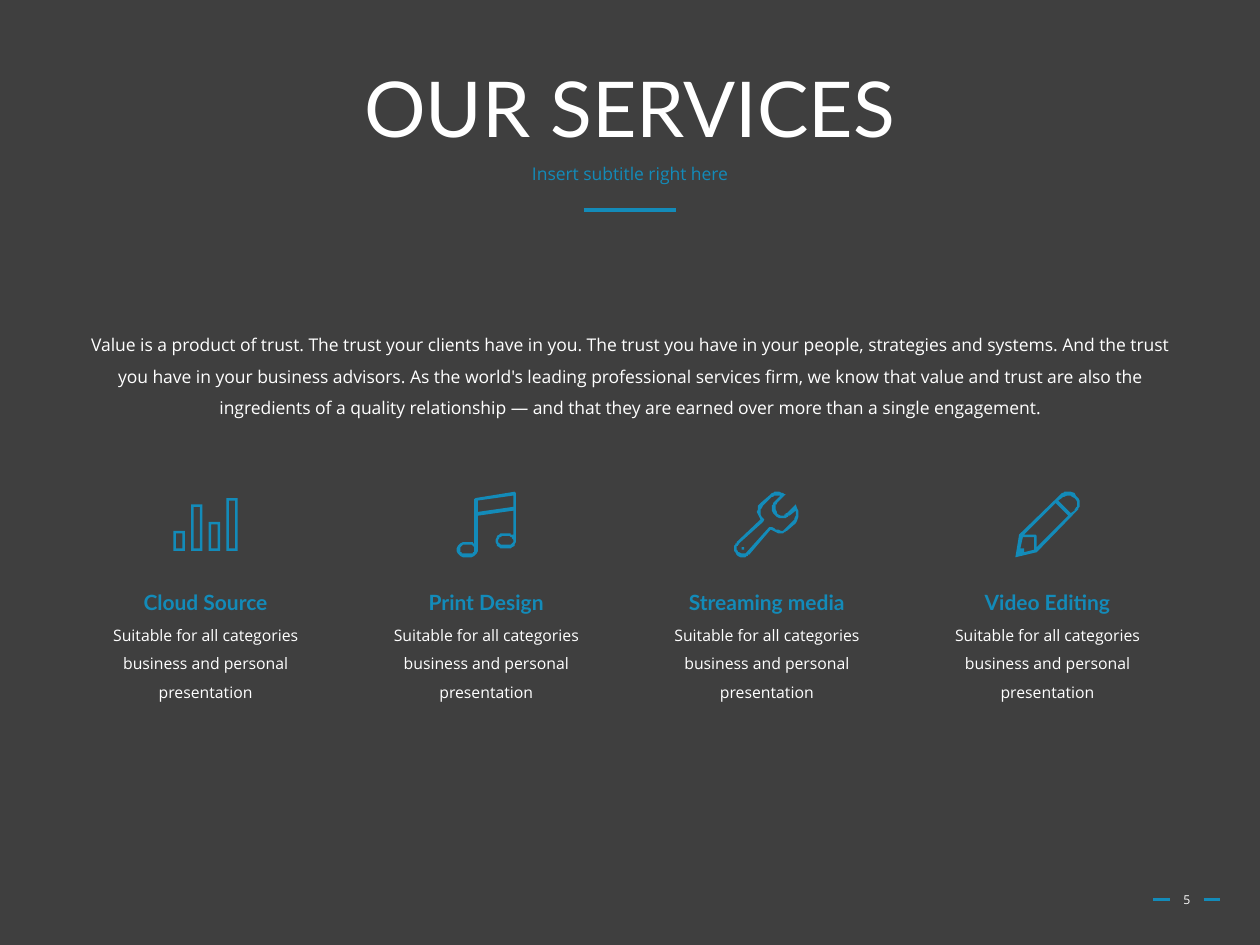
from pptx import Presentation
from pptx.dml.color import RGBColor
from pptx.enum.text import MSO_ANCHOR, MSO_AUTO_SIZE, PP_ALIGN
from pptx.oxml.ns import qn
from pptx.util import Pt
from lxml.etree import SubElement

COLORS = {"back": "3F3F3F", "blue": "138BB9", "white": "FFFFFF"}
HEAD, BODY = "Lato", "Open Sans"
UNIT = 0.72

INTRO = (
    "Value is a product of trust. The trust your clients have in you. "
    "The trust you have in your people, strategies and systems. "
    "And the trust you have in your business advisors. "
    "As the world's leading professional services firm, we know that value "
    "and trust are also the ingredients of a quality relationship — and that "
    "they are earned over more than a single engagement."
)
DETAIL = "Suitable for all categories business and personal presentation"


def box(left, top, right, low):
    return [(left, top), (right, top), (right, low), (left, low)]


def bars():
    paths = []
    for i, top in enumerate((31, 10, 24, 5)):
        left = 14 * i
        paths.append(box(left, top, left + 9, 47))
        paths.append(box(left + 2, top + 2, left + 7, 45))
    return paths


NOTE = [
    [(46, 0), (15, 5), (14, 6), (14, 41), (14, 41, 12, 40, 11, 40), (6, 40),
     (3, 40, 0, 43, 0, 46), (0, 49, 3, 52, 6, 52), (11, 52),
     (14, 52, 17, 49, 17, 46), (17, 19), (45, 15), (45, 34),
     (44, 34, 43, 33, 41, 33), (37, 33), (33, 33, 31, 36, 31, 39),
     (31, 42, 33, 45, 37, 45), (41, 45), (45, 45, 47, 42, 47, 39), (47, 1)],
    [(11, 49), (6, 49), (4, 49, 3, 48, 3, 46), (3, 44, 4, 42, 6, 42),
     (11, 42), (13, 42, 14, 44, 14, 46), (14, 48, 13, 49, 11, 49)],
    [(41, 42), (37, 42), (35, 42, 33, 41, 33, 39), (33, 37, 35, 35, 37, 35),
     (41, 35), (43, 35, 45, 37, 45, 39), (45, 41, 43, 42, 41, 42)],
    [(45, 12), (17, 16), (17, 7), (45, 3)],
]
WRENCH = [
    [(49, 10), (42, 17), (41, 18, 40, 19, 38, 19), (35, 19, 33, 16, 33, 13),
     (33, 11, 33, 10, 34, 9), (40, 3), (41, 2), (39, 1, 36, 0, 34, 0),
     (32, 0, 29, 1, 28, 3), (21, 9), (17, 14, 18, 18, 21, 22), (2, 40),
     (1, 41, 0, 43, 0, 45), (0, 48, 3, 52, 7, 52), (9, 52, 11, 51, 12, 50),
     (29, 30), (33, 33, 37, 33, 38, 33), (39, 33, 41, 32, 42, 31), (49, 25),
     (52, 21, 52, 15, 49, 10)],
    [(33, 7), (31, 9, 30, 11, 30, 13), (30, 17, 34, 21, 38, 21),
     (41, 21, 43, 20, 44, 19), (49, 15), (49, 18, 49, 21, 47, 23), (41, 29),
     (40, 30, 39, 31, 38, 31), (38, 31, 33, 30, 30, 28), (28, 28), (10, 48),
     (9, 49, 8, 49, 7, 49), (4, 49, 2, 47, 2, 45), (2, 43, 3, 42, 4, 41),
     (23, 24), (24, 22), (20, 17, 20, 14, 23, 11), (29, 5),
     (31, 3, 33, 3, 34, 3), (35, 3, 36, 3, 37, 3)],
    [(6, 45), (6, 43.5, 8, 43.5, 8, 45), (8, 46.5, 6, 46.5, 6, 45)],
]
PEN = [
    [(42, 0), (39, 0, 37, 1, 35, 3), (3, 34), (0, 52), (17, 48), (48, 16),
     (50, 15, 51, 12, 51, 10), (51, 4, 47, 0, 42, 0)],
    [(15, 46), (7, 48), (7, 45), (4, 45), (6, 36), (15, 36)],
    [(17, 44), (17, 35), (16, 34), (7, 34), (32, 9), (42, 19)],
    [(47, 15), (44, 17), (34, 7), (37, 5), (37, 5, 39, 3, 42, 3),
     (45, 3, 49, 6, 49, 10), (49, 12, 48, 13, 47, 15)],
]
ITEMS = [
    ("Cloud Source", bars(), 51),
    ("Print Design", NOTE, 47),
    ("Streaming media", WRENCH, 52),
    ("Video Editing", PEN, 51),
]


def trace(course, steps=6):
    points = [course[0]]
    for part in course[1:]:
        if len(part) == 2:
            points.append(part)
            continue
        start = points[-1]
        knots = [start, part[:2], part[2:4], part[4:]]
        for step in range(1, steps + 1):
            t = step / steps
            mix = ((1 - t) ** 3, 3 * t * (1 - t) ** 2, 3 * t * t * (1 - t), t ** 3)
            points.append(tuple(sum(m * k[axis] for m, k in zip(mix, knots))
                                for axis in (0, 1)))
    return points


class Page:
    def __init__(self, slide):
        self.slide = slide
        self.shapes = slide.shapes
        fill = slide.background.fill
        fill.solid()
        fill.fore_color.rgb = self.color("back")

    def color(self, name):
        return RGBColor.from_string(COLORS[name])

    def style(self, shape, text, size, font=BODY, color="white", bold=False,
              space=1.0, anchor=MSO_ANCHOR.TOP):
        frame = shape.text_frame
        frame.text = text
        frame.word_wrap = True
        frame.auto_size = MSO_AUTO_SIZE.NONE
        frame.vertical_anchor = anchor
        para = frame.paragraphs[0]
        para.alignment = PP_ALIGN.CENTER
        para.line_spacing = space
        para.space_before = Pt(0)
        props = para._p.get_or_add_pPr()
        if shape.is_placeholder:
            props.set("marL", "0")
            props.set("indent", "0")
            SubElement(props, qn("a:buNone"))
        para.font.name = font
        para.font.size = Pt(size)
        para.font.bold = bold
        para.font.color.rgb = self.color(color)

    def holder(self, index, area, text, size, **look):
        shape = self.shapes.placeholders[index]
        shape.left, shape.top, shape.width, shape.height = map(Pt, area)
        self.style(shape, text, size, space=0.9, **look)

    def text(self, area, text, size, **look):
        self.style(self.shapes.add_textbox(*map(Pt, area)), text, size, **look)

    def rule(self, left, right, top):
        line = self.shapes.add_connector(1, Pt(left), Pt(top), Pt(right), Pt(top))
        line.line.color.rgb = self.color("blue")
        line.line.width = Pt(1.75)
        SubElement(line._element.spPr, qn("a:effectLst"))

    def icon(self, left, top, paths):
        first, *rest = map(trace, paths)
        pen = self.shapes.build_freeform(*first[0], scale=Pt(UNIT))
        pen.add_line_segments(first[1:], close=True)
        for points in rest:
            pen.move_to(*points[0])
            pen.add_line_segments(points[1:], close=True)
        shape = pen.convert_to_shape(Pt(left), Pt(top))
        shape.shadow.inherit = False
        shape.fill.solid()
        shape.fill.fore_color.rgb = self.color("blue")
        shape.line.fill.background()


def main():
    deck = Presentation()
    deck.slide_width, deck.slide_height = Pt(720), Pt(540)
    page = Page(deck.slides.add_slide(deck.slide_layouts[1]))

    page.rule(333.5, 386.5, 120)
    for left in (659, 687.8):
        page.rule(left, left + 9.4, 514)
    page.holder(0, (49.5, 29, 621, 70.5), "OUR SERVICES", 44, font=HEAD,
                anchor=MSO_ANCHOR.MIDDLE)
    page.text((662.4, 499.5, 31.7, 28.8), "5", 7, anchor=MSO_ANCHOR.MIDDLE)
    page.holder(1, (49.5, 90.7, 621, 28.8), "Insert subtitle right here", 10,
                color="blue")
    page.text((37.5, 181.5, 645, 75), INTRO, 10, space=1.5)

    for i, (name, paths, width) in enumerate(ITEMS):
        center = 117.5 + 160.35 * i
        page.icon(center - width * UNIT / 2, 281, paths)
        page.text((center - 72, 333.4, 144, 21.6), name, 12, font=HEAD,
                  color="blue", bold=True)
        page.text((center - 72, 348.5, 144, 56), DETAIL, 9, space=1.5)

    deck.save("out.pptx")


if __name__ == "__main__":
    main()
